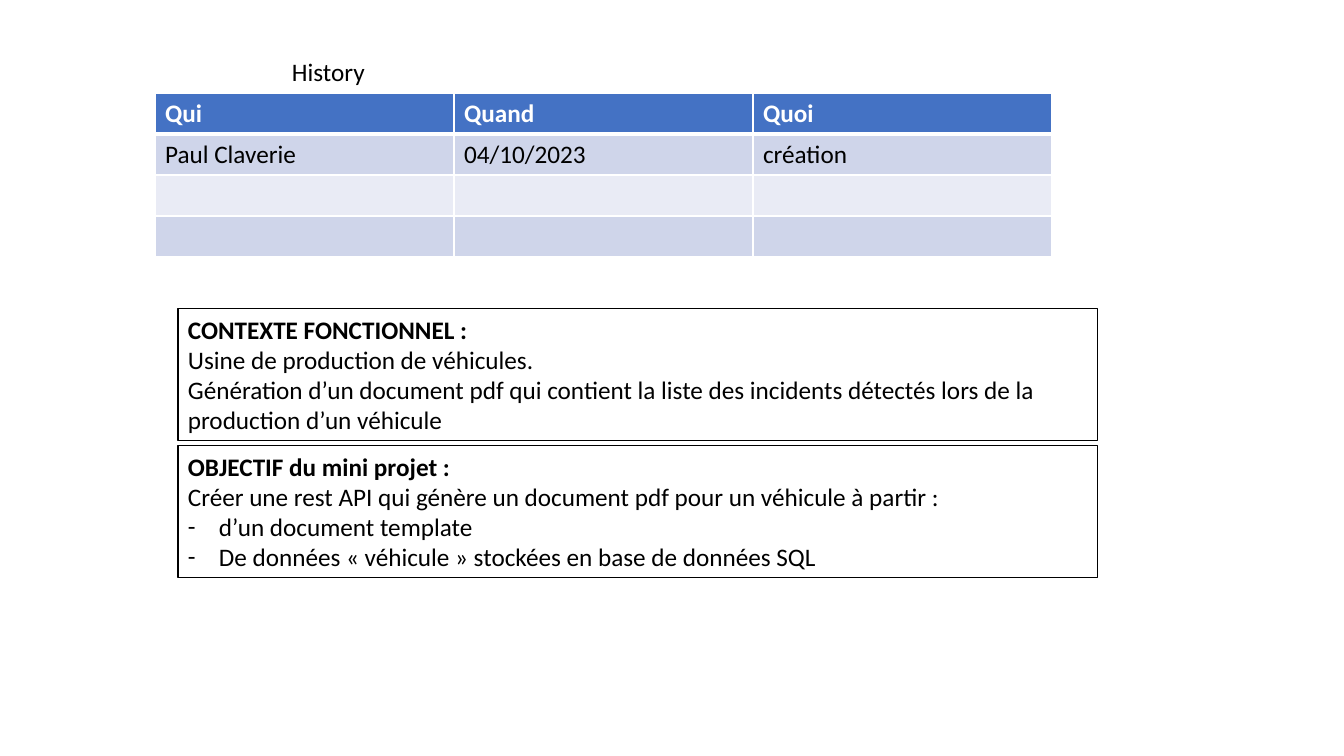
import pptx
import pptx.dml.color
import pptx.enum.shapes
import pptx.enum.text
import pptx.oxml
import pptx.oxml.ns
import pptx.util

# Content
TITLE = "History"
HISTORY = [
    ("Qui", "Quand", "Quoi"),
    ("Paul Claverie", "04/10/2023", "création"),
    ("", "", ""),
    ("", "", ""),
]
# Each box: heading, plain lines, dashed items
BOXES = [
    ("CONTEXTE FONCTIONNEL :",
     ["Usine de production de véhicules.",
      "Génération d’un document pdf qui contient la liste des incidents "
      "détectés lors de la production d’un véhicule"],
     []),
    ("OBJECTIF du mini projet :",
     ["Créer une rest API qui génère un document pdf pour un véhicule à partir :"],
     ["d’un document template",
      "De données « véhicule » stockées en base de données SQL"]),
]

THEME = {
    "font": "Calibri", "size": 18,
    "text": "000000", "header_text": "FFFFFF", "header": "4472C4",
    "bands": ("CFD5EA", "E9EBF5"), "grid": "FFFFFF", "outline": "000000",
}

# Layout, in px
SLIDE_W, SLIDE_H = 1344, 756
TITLE_AT = (282, 51, 569, 40)
TABLE_X, TABLE_Y, COL_W, ROW_H = 155, 93, 299, 41
BOX_X, BOX_Y, BOX_W, BOX_H, BOX_STEP = 178, 309, 920, 132, 137
INDENT = 31


def px(n):
    return pptx.util.Emu(round(n * 914400 / 100.8))


def rgb(name):
    return pptx.dml.color.RGBColor.from_string(name)


def add_run(p, text, color=THEME["text"], bold=False):
    r = p.add_run()
    r.text = text
    r.font.name = THEME["font"]
    r.font.size = pptx.util.Pt(THEME["size"])
    r.font.bold = bold
    r.font.color.rgb = rgb(color)


def set_borders(cell, widths):
    tcPr = cell._tc.get_or_add_tcPr()
    for i, (side, width) in enumerate(widths.items()):
        tcPr.insert(i, pptx.oxml.parse_xml(
            f'<a:ln{side} {pptx.oxml.ns.nsdecls("a")} w="{pptx.util.Pt(width)}">'
            f'<a:solidFill><a:srgbClr val="{THEME["grid"]}"/></a:solidFill></a:ln{side}>'))


def set_dash(p):
    pPr = p._p.get_or_add_pPr()
    pPr.set("marL", str(px(INDENT)))
    pPr.set("indent", str(-px(INDENT)))
    pPr.append(pptx.oxml.parse_xml(
        f'<a:buFont {pptx.oxml.ns.nsdecls("a")} typeface="{THEME["font"]}"/>'))
    pPr.append(pptx.oxml.parse_xml(
        f'<a:buChar {pptx.oxml.ns.nsdecls("a")} char="-"/>'))


def add_history(s):
    rows, cols = len(HISTORY), len(HISTORY[0])
    table = s.shapes.add_table(rows, cols, px(TABLE_X), px(TABLE_Y),
                               px(COL_W * cols), px(ROW_H * rows)).table
    for col in table.columns:
        col.width = px(COL_W)
    for i, values in enumerate(HISTORY):
        table.rows[i].height = px(ROW_H)
        header = i == 0
        fill = THEME["header"] if header else THEME["bands"][(i - 1) % 2]
        color = THEME["header_text"] if header else THEME["text"]
        for j, value in enumerate(values):
            cell = table.cell(i, j)
            cell.fill.solid()
            cell.fill.fore_color.rgb = rgb(fill)
            set_borders(cell, {"L": 1, "R": 1, "T": 3 if i == 1 else 1,
                               "B": 3 if header else 1})
            if value:
                add_run(cell.text_frame.paragraphs[0], value, color, header)


def add_box(s, y, heading, lines, items):
    sp = s.shapes.add_shape(pptx.enum.shapes.MSO_SHAPE.RECTANGLE,
                            px(BOX_X), px(y), px(BOX_W), px(BOX_H))
    sp.shadow.inherit = False
    sp.fill.background()
    sp.line.color.rgb = rgb(THEME["outline"])
    sp.line.width = pptx.util.Pt(0.75)
    tf = sp.text_frame
    tf.word_wrap = True
    tf.vertical_anchor = pptx.enum.text.MSO_ANCHOR.TOP
    for i, text in enumerate([heading, *lines, *items]):
        p = tf.add_paragraph() if i else tf.paragraphs[0]
        p.alignment = pptx.enum.text.PP_ALIGN.LEFT
        if i > len(lines):
            set_dash(p)
        add_run(p, text, bold=i == 0)


def main():
    prs = pptx.Presentation()
    prs.slide_width, prs.slide_height = px(SLIDE_W), px(SLIDE_H)
    s = prs.slides.add_slide(prs.slide_layouts[6])

    # History table and its title
    add_history(s)
    tf = s.shapes.add_textbox(*map(px, TITLE_AT)).text_frame
    tf.word_wrap = True
    add_run(tf.paragraphs[0], TITLE)

    # Context and objective boxes
    for i, box in enumerate(BOXES):
        add_box(s, BOX_Y + i * BOX_STEP, *box)

    prs.save("out.pptx")


if __name__ == "__main__":
    main()
